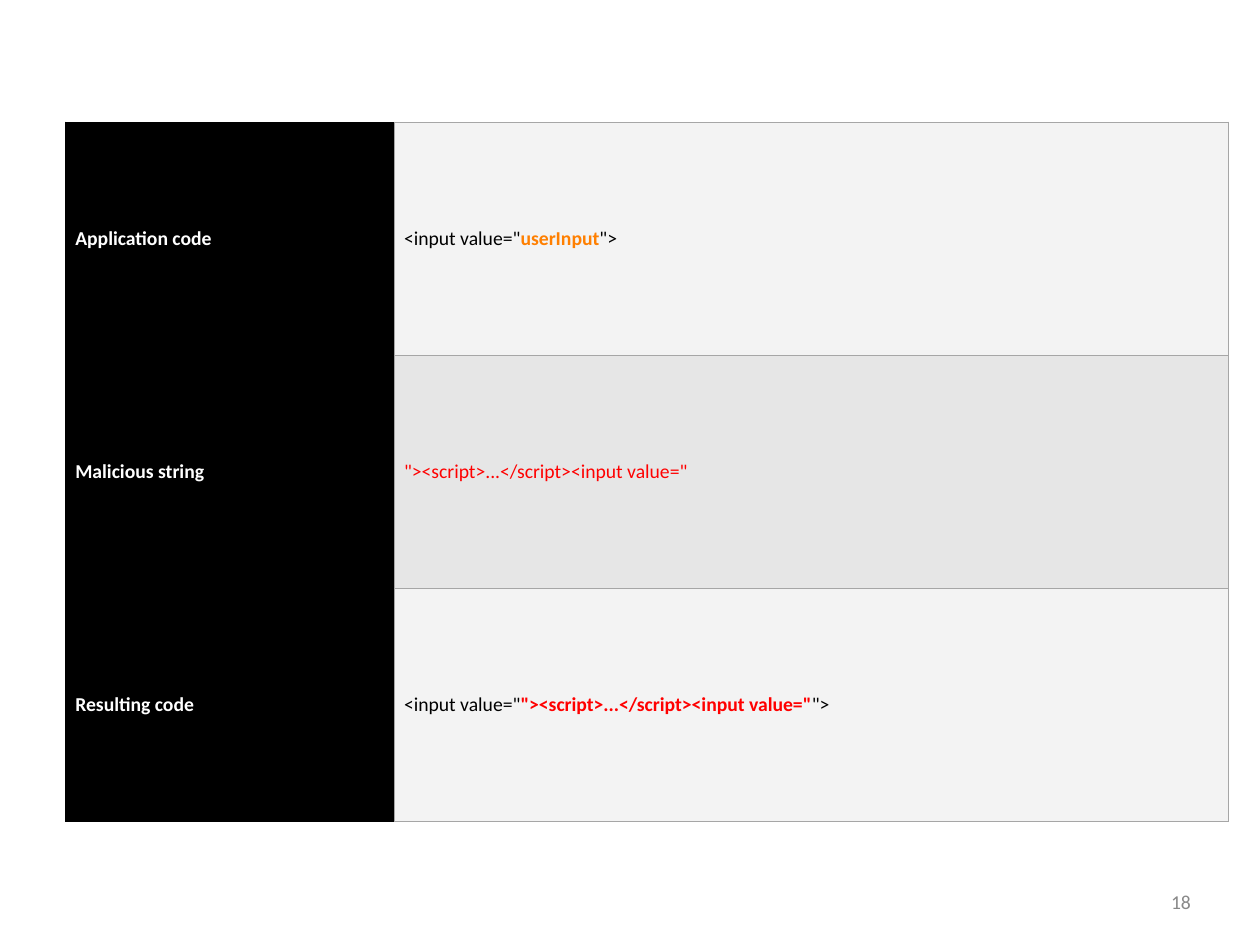
from lxml import etree
from pptx import Presentation
from pptx.dml.color import RGBColor
from pptx.enum.text import MSO_ANCHOR, PP_ALIGN
from pptx.oxml.ns import qn
from pptx.util import Inches, Pt

MIDDLE = MSO_ANCHOR.MIDDLE
RIGHT = PP_ALIGN.RIGHT

BLACK = RGBColor(0x00, 0x00, 0x00)
WHITE = RGBColor(0xFF, 0xFF, 0xFF)
ORANGE = RGBColor(0xFF, 0x7F, 0x00)
RED = RGBColor(0xFF, 0x00, 0x00)
GRAY = RGBColor(0x88, 0x88, 0x88)
EDGE = RGBColor(0xA6, 0xA6, 0xA6)
BANDS = [RGBColor(0xF3, 0xF3, 0xF3), RGBColor(0xE6, 0xE6, 0xE6)]

FONT = "Calibri"
SIZE = Pt(16)
LABEL_WIDTH = 3.71

OPEN = ('<input value="', BLACK, False)
CLOSE = ('">', BLACK, False)
ATTACK = '"><script>...</script><input value="'
ROWS = [
    ("Application code", [OPEN, ("userInput", ORANGE, True), CLOSE]),
    ("Malicious string", [(ATTACK, RED, False)]),
    ("Resulting code", [OPEN, (ATTACK, RED, True), CLOSE]),
]


def add_borders(cell, color):
    """Draw a 1 pt line on all four sides; call before setting the fill."""
    props = cell._tc.get_or_add_tcPr()
    for side in ("a:lnL", "a:lnR", "a:lnT", "a:lnB"):
        line = etree.SubElement(props, qn(side), w=str(Pt(1)))
        fill = etree.SubElement(line, qn("a:solidFill"))
        etree.SubElement(fill, qn("a:srgbClr"), val=str(color))


def fill_cell(cell, runs, fill, edge):
    add_borders(cell, edge)
    cell.fill.solid()
    cell.fill.fore_color.rgb = fill
    cell.vertical_anchor = MIDDLE
    cell.margin_left = cell.margin_right = Inches(0.11)
    cell.margin_top = cell.margin_bottom = Inches(0.06)
    para = cell.text_frame.paragraphs[0]
    para.font.name = FONT
    para.font.size = SIZE
    for text, color, bold in runs:
        run = para.add_run()
        run.text = text
        run.font.color.rgb = color
        run.font.bold = bold


def add_code_table(slide, left, top, width, height):
    frame = slide.shapes.add_table(
        len(ROWS), 2, Inches(left), Inches(top), Inches(width), Inches(height))
    table = frame.table
    table.first_row = table.horz_banding = False
    table.columns[0].width = Inches(LABEL_WIDTH)
    table.columns[1].width = Inches(width - LABEL_WIDTH)
    for i, (label, code) in enumerate(ROWS):
        fill_cell(table.cell(i, 0), [(label, WHITE, True)], BLACK, BLACK)
        fill_cell(table.cell(i, 1), code, BANDS[i % 2], EDGE)


def add_page_number(slide, left, top, width, height):
    box = slide.shapes.add_textbox(
        Inches(left), Inches(top), Inches(width), Inches(height))
    frame = box.text_frame
    frame.word_wrap = True
    frame.vertical_anchor = MIDDLE
    frame.margin_left = frame.margin_right = Inches(0.07)
    frame.margin_top = frame.margin_bottom = Inches(0.07)
    para = frame.paragraphs[0]
    para.text = "18"
    para.alignment = RIGHT
    para.font.name = FONT
    para.font.size = SIZE
    para.font.color.rgb = GRAY


def main():
    deck = Presentation()
    deck.slide_width = Inches(14.22)
    deck.slide_height = Inches(10.67)
    slide = deck.slides.add_slide(deck.slide_layouts[6])
    add_page_number(slide, 10.19, 9.97, 3.32, 0.41)
    add_code_table(slide, 0.74, 1.38, 13.12, 7.9)
    deck.save("out.pptx")


if __name__ == "__main__":
    main()
